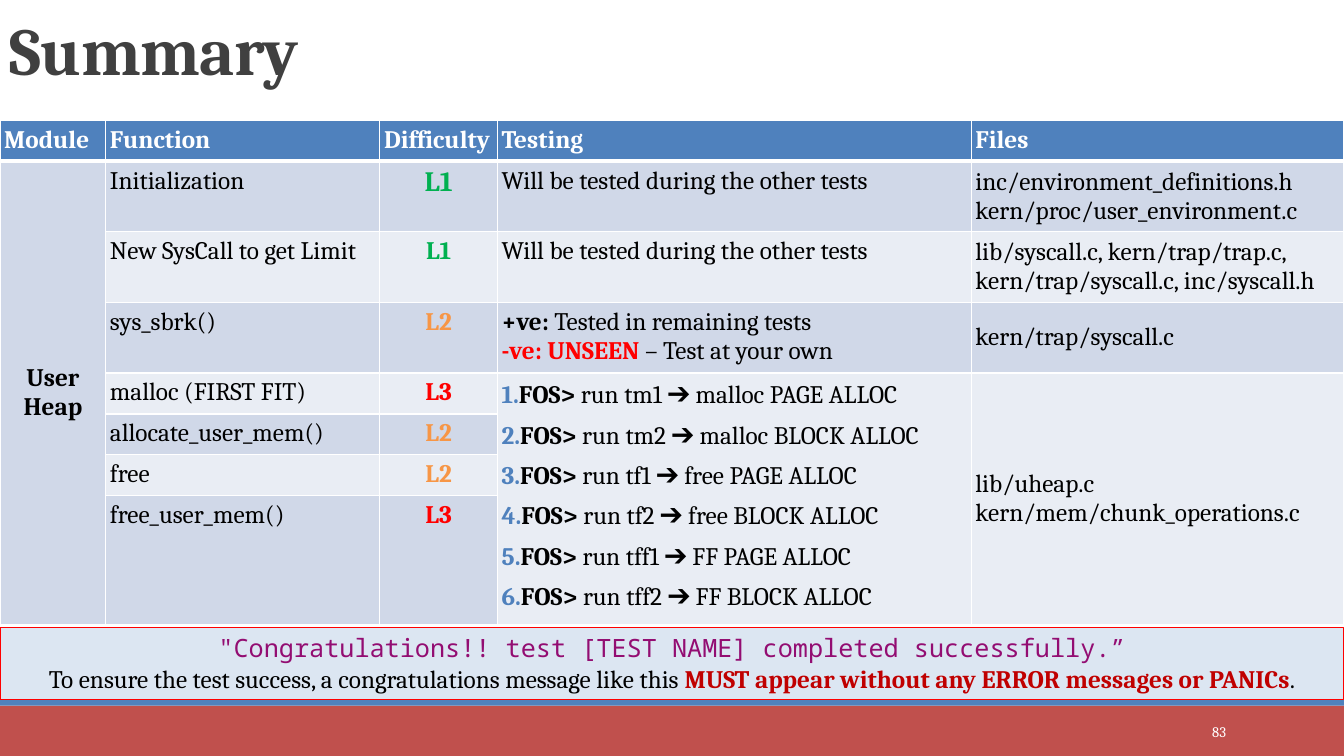
from pptx import Presentation
from pptx.util import Pt
from pptx.dml.color import RGBColor as RGB
from pptx.enum.shapes import MSO_SHAPE as SHAPE
from pptx.enum.text import PP_ALIGN as ALIGN, MSO_ANCHOR as ANCHOR
from pptx.oxml.ns import qn
from lxml.etree import SubElement

# Content: a paragraph is a list of (text, style) runs
HEADERS = ["Module", "Function", "Difficulty", "Testing", "Files"]
MODULE = "User Heap"
FUNCTIONS = [
    ("Initialization", "L1"),
    ("New SysCall to get Limit", "L1"),
    ("sys_sbrk()", "L2"),
    ("malloc (FIRST FIT)", "L3"),
    ("allocate_user_mem()", "L2"),
    ("free", "L2"),
    ("free_user_mem()", "L3"),
]
OTHER_TESTS = [[("Will be tested during the other tests", "body")]]
SBRK_TESTS = [
    [("+ve: ", "strong"), ("Tested in remaining tests", "body")],
    [("-ve: UNSEEN", "L3"), (" – Test at your own", "body")],
]
COMMANDS = [
    "run tm1 ➔ malloc PAGE ALLOC",
    "run tm2 ➔ malloc BLOCK ALLOC",
    "run tf1 ➔ free PAGE ALLOC",
    "run tf2 ➔ free BLOCK ALLOC",
    "run tff1 ➔ FF PAGE ALLOC",
    "run tff2 ➔ FF BLOCK ALLOC",
]
COMMAND_TESTS = [[("FOS>", "strong"), (f" {c}", "body")] for c in COMMANDS]
TESTING = [OTHER_TESTS, OTHER_TESTS, SBRK_TESTS, COMMAND_TESTS]
FILES = [
    ["inc/environment_definitions.h", "kern/proc/user_environment.c"],
    ["lib/syscall.c, kern/trap/trap.c, kern/trap/syscall.c, inc/syscall.h"],
    ["kern/trap/syscall.c"],
    ["lib/uheap.c", "kern/mem/chunk_operations.c"],
]
MESSAGE = [
    [("\"Congratulations!! test [TEST NAME] completed successfully.”", "code")],
    [("To ensure the test success, a congratulations message like this ", "body"),
     ("MUST appear without any ERROR messages or PANICs", "alert"),
     (".", "body")],
]

# Theme: colours, and (size, colour, bold, font) for each text style
SERIF, MONO = "Cambria", "Noto Sans Mono"
THEME = {
    "red": "C0504D", "blue": "4F81BD", "white": "FFFFFF",
    "bands": ("D0D8E8", "E9EDF4"), "note": "DCE6F2", "note_line": "FF0000",
    "text": {
        "title": (48, "404040", True, SERIF),
        "header": (18, "FFFFFF", True, SERIF),
        "body": (18, "000000", False, SERIF),
        "strong": (18, "000000", True, SERIF),
        "L1": (18, "00B050", True, SERIF),
        "L1 large": (20, "00B050", True, SERIF),
        "L2": (18, "F79646", True, SERIF),
        "L3": (18, "FF0000", True, SERIF),
        "alert": (18, "C00000", True, SERIF),
        "code": (18, "930D72", False, MONO),
        "number": (10.5, "FFFFFF", False, SERIF),
    },
}

# Layout
WIDTH, HEIGHT = 960, 540
TABLE_TOP = 86
COLS = [75.6, 195.8, 84, 338.4, 266.2]
ROWS = [29.2] + [48.6] * 3 + [29.2] * 3 + [86.4]
LAST_GROUP = len(TESTING)

prs = Presentation()
prs.slide_width, prs.slide_height = Pt(WIDTH), Pt(HEIGHT)
s = prs.slides.add_slide(prs.slide_layouts[6])


def write(tf, paras, align=ALIGN.LEFT, **para_format):
    for i, runs in enumerate(paras):
        p = tf.paragraphs[0] if i == 0 else tf.add_paragraph()
        p.alignment = align
        for name, value in para_format.items():
            setattr(p, name, value)
        for text, style in runs:
            r = p.add_run()
            r.text = text
            size, color, bold, face = THEME["text"][style]
            for name, value in dict(size=Pt(size), bold=bold, name=face).items():
                setattr(r.font, name, value)
            r.font.color.rgb = RGB.from_string(color)


def add_rect(x, y, w, h, fill, line=None):
    sp = s.shapes.add_shape(SHAPE.RECTANGLE, Pt(x), Pt(y), Pt(w), Pt(h))
    sp.shadow.inherit = False
    sp.fill.solid()
    sp.fill.fore_color.rgb = RGB.from_string(fill)
    if line:
        sp.line.color.rgb = RGB.from_string(line)
        sp.line.width = Pt(0.75)
    else:
        sp.line.fill.background()
    return sp


def add_text(x, y, w, h, anchor):
    tf = s.shapes.add_textbox(Pt(x), Pt(y), Pt(w), Pt(h)).text_frame
    tf.word_wrap, tf.vertical_anchor = True, anchor
    return tf


def style_cell(cell, fill, bottom=1):
    tc_pr = cell._tc.get_or_add_tcPr()
    for side, width in dict(L=1, R=1, T=1, B=bottom).items():
        ln = SubElement(tc_pr, qn(f"a:ln{side}"), w=str(Pt(width)))
        solid = SubElement(ln, qn("a:solidFill"))
        SubElement(solid, qn("a:srgbClr"), val=THEME["white"])
    cell.fill.solid()
    cell.fill.fore_color.rgb = RGB.from_string(fill)
    margins = dict(left=3, right=3, top=3.6, bottom=3.6)
    for side, margin in margins.items():
        setattr(cell, f"margin_{side}", Pt(margin))


def number(p):
    p_pr = p._p.get_or_add_pPr()
    p_pr.set("marL", str(Pt(7.2)))
    p_pr.set("indent", str(Pt(-27.36)))
    color = SubElement(p_pr, qn("a:buClr"))
    SubElement(color, qn("a:srgbClr"), val=THEME["blue"])
    SubElement(p_pr, qn("a:buFont"), typeface="+mj-lt")
    SubElement(p_pr, qn("a:buAutoNum"), type="arabicPeriod")


# Footer bars
add_rect(0, 504, WIDTH, 36, THEME["red"])
add_rect(0, 499, WIDTH, 5, THEME["blue"])

# Title
tf = add_text(0, 0.7, 792, 66.2, ANCHOR.BOTTOM)
write(tf, [[("Summary", "title")]], line_spacing=0.85)
tf.paragraphs[0].runs[0].font._element.set("spc", "-50")

# Table grid
table = s.shapes.add_table(len(ROWS), len(COLS), Pt(0), Pt(TABLE_TOP),
                           Pt(sum(COLS)), Pt(sum(ROWS))).table
table.horz_banding = False
for col, width in zip(table.columns, COLS):
    col.width = Pt(width)
for i, (row, height) in enumerate(zip(table.rows, ROWS)):
    row.height = Pt(height)
    for cell in row.cells:
        if i == 0:
            style_cell(cell, THEME["blue"], bottom=3)
        else:
            style_cell(cell, THEME["bands"][(i - 1) % 2])
for col, first in ((0, 1), (3, LAST_GROUP), (4, LAST_GROUP)):
    table.cell(first, col).merge(table.cell(len(ROWS) - 1, col))

# Table text
for col, name in enumerate(HEADERS):
    write(table.cell(0, col).text_frame, [[(name, "header")]])
cell = table.cell(1, 0)
cell.vertical_anchor = ANCHOR.MIDDLE
write(cell.text_frame, [[(MODULE, "strong")]], ALIGN.CENTER)
for i, (name, level) in enumerate(FUNCTIONS, 1):
    write(table.cell(i, 1).text_frame, [[(name, "body")]])
    style = "L1 large" if i == 1 else level
    write(table.cell(i, 2).text_frame, [[(level, style)]], ALIGN.CENTER)
for i, (tests, files) in enumerate(zip(TESTING, FILES), 1):
    tf = table.cell(i, 3).text_frame
    if tests is COMMAND_TESTS:
        write(tf, tests, line_spacing=1.1, space_before=Pt(2), space_after=Pt(4))
        for p in tf.paragraphs:
            number(p)
    else:
        write(tf, tests)
    cell = table.cell(i, 4)
    cell.vertical_anchor = ANCHOR.MIDDLE
    write(cell.text_frame, [[(name, "body")] for name in files])

# Slide number
tf = add_text(779.8, 508.3, 103, 28.8, ANCHOR.MIDDLE)
write(tf, [[("83", "number")]], ALIGN.RIGHT)

# Success message
tf = add_rect(0, 448.4, WIDTH, 51, THEME["note"], THEME["note_line"]).text_frame
tf.word_wrap, tf.vertical_anchor = True, ANCHOR.TOP
write(tf, MESSAGE, ALIGN.CENTER)

prs.save("out.pptx")
